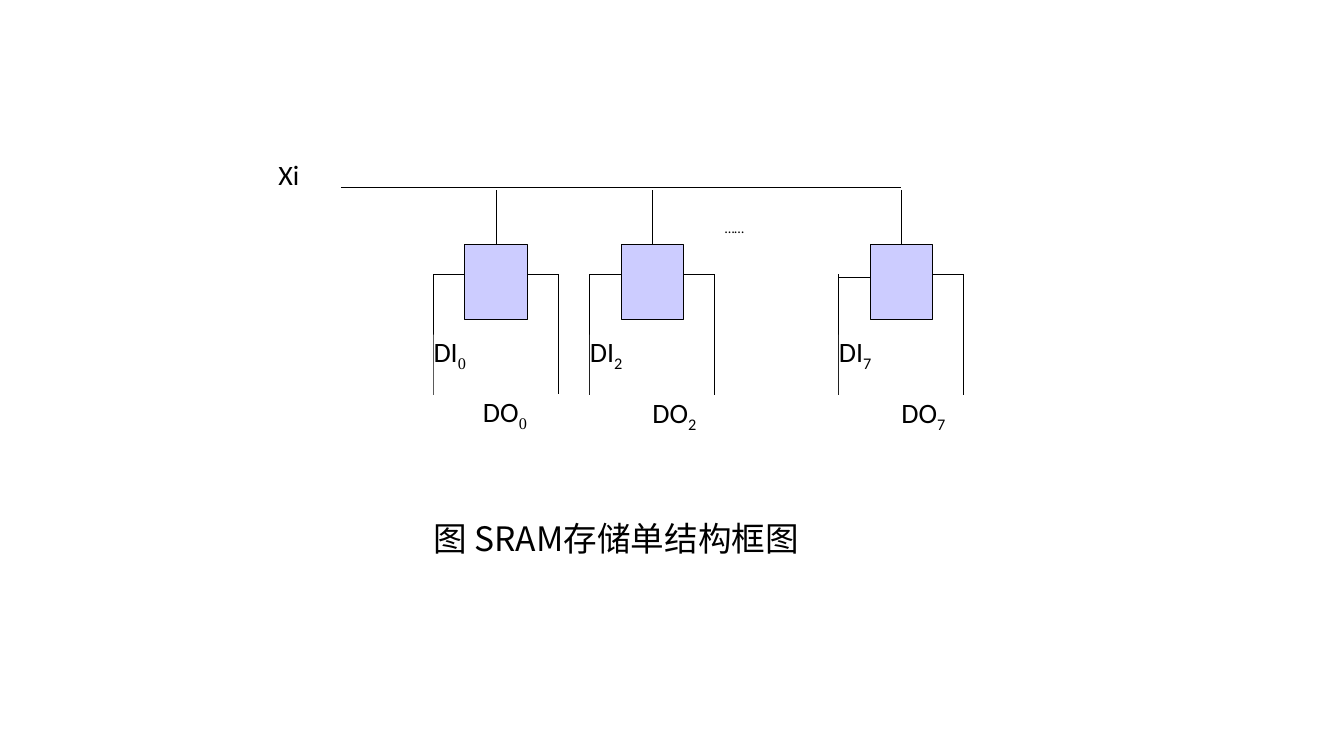
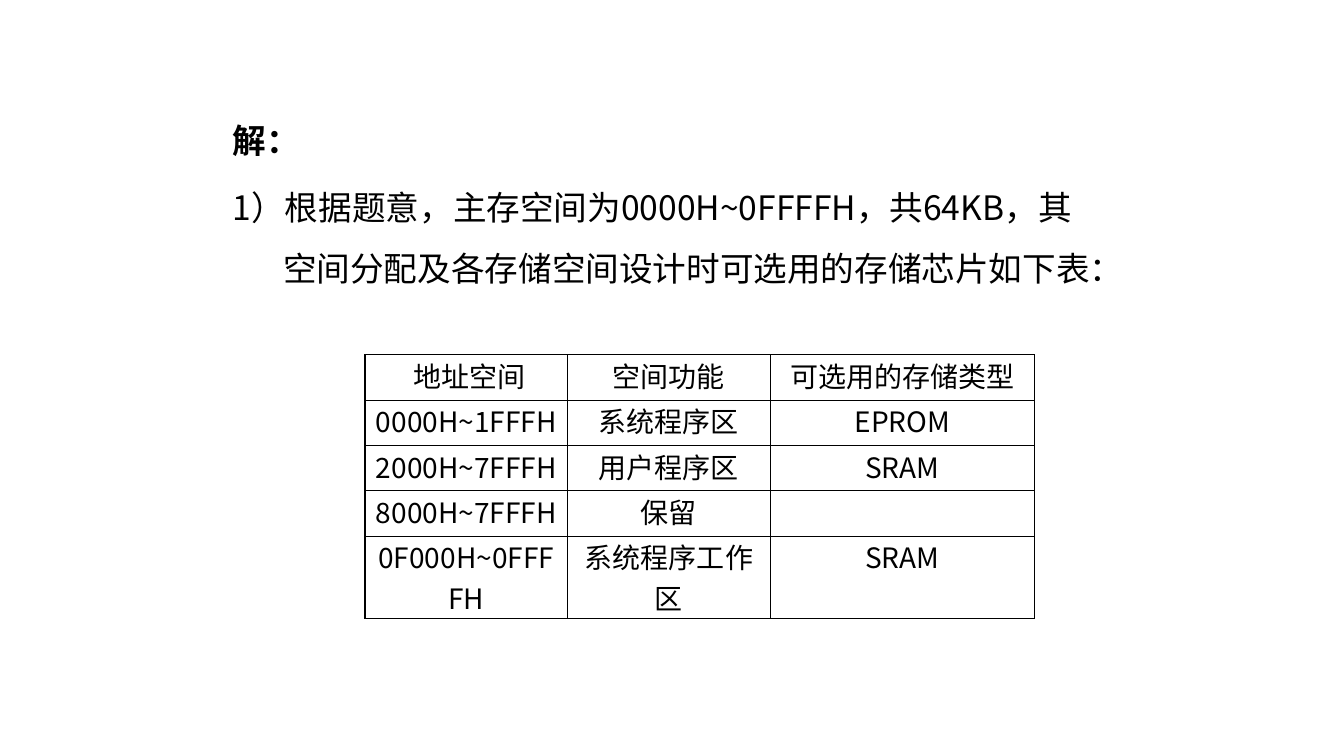
from dataclasses import dataclass
from itertools import product

from lxml.etree import SubElement
from pptx import Presentation
from pptx.dml.color import RGBColor as Rgb
from pptx.enum.shapes import MSO_CONNECTOR as Connector, MSO_SHAPE as Preset
from pptx.enum.text import MSO_ANCHOR as Anchor, PP_ALIGN as Align
from pptx.oxml.ns import qn
from pptx.util import Inches, Pt


@dataclass(frozen=True)
class Theme:
    ink: Rgb = Rgb(0x00, 0x00, 0x00)
    paper: Rgb = Rgb(0xFF, 0xFF, 0xFF)
    cell_fill: Rgb = Rgb(0xCC, 0xCC, 0xFF)
    latin: str = "Calibri"
    cjk: str = "Noto Sans CJK SC"
    serif: str = "Times New Roman"
    body: int = 24
    label: int = 20
    small: int = 10
    line: float = 0.75
    border: float = 1


@dataclass(frozen=True)
class MemoryCell:
    index: str
    left: float
    output_left: float
    input_y: float = 2.72
    output_top: float = 3.92
    index_font: str = Theme.latin


THEME = Theme()

# Memory cell geometry, in inches
CELL_TOP, CELL_WIDTH, CELL_HEIGHT = 2.43, 0.62, 0.74
STUB, PIN_Y, PIN_END = 0.31, 2.72, 3.92
WORD_LINE_Y = 1.86
CELLS = (
    MemoryCell("0", 4.61, 4.79, output_top=3.91, index_font=THEME.serif),
    MemoryCell("2", 6.16, 6.47),
    MemoryCell("7", 8.63, 8.94, input_y=2.75),
)

SOLUTION = (
    "解：",
    "1）根据题意，主存空间为0000H~0FFFFH，共64KB，"
    "其空间分配及各存储空间设计时可选用的存储芯片如下表：",
)
ADDRESS_MAP = (
    (" 地址空间", "空间功能", "可选用的存储类型"),
    ("0000H~1FFFH", "系统程序区", "EPROM"),
    ("2000H~7FFFH", "用户程序区", "SRAM"),
    ("8000H~7FFFH", "保留", ""),
    ("0F000H~0FFFFH", "系统程序工作区", "SRAM"),
)
COLUMN_WIDTHS = (2.01, 2.01, 2.62)
# The last row holds two lines of text
ROW_HEIGHTS = (0.45, 0.45, 0.45, 0.45, 0.82)


def style(paragraph, size: int, face: str, align=None, bold: bool = False) -> None:
    font = paragraph.font
    font.size, font.name, font.bold = Pt(size), face, bold
    font.color.rgb = THEME.ink
    defaults = paragraph._p.pPr.find(qn("a:defRPr"))
    SubElement(defaults, qn("a:ea")).set("typeface", face)
    paragraph.alignment = align


def add_line(slide, x1: float, y1: float, x2: float, y2: float) -> None:
    line = slide.shapes.add_connector(
        Connector.STRAIGHT, Inches(x1), Inches(y1), Inches(x2), Inches(y2))
    line.line.color.rgb = THEME.ink
    line.line.width = Pt(THEME.line)
    SubElement(line._element.spPr, qn("a:effectLst"))


def add_box(slide, left: float, top: float, width: float, height: float, fill: Rgb):
    box = slide.shapes.add_shape(
        Preset.RECTANGLE, Inches(left), Inches(top), Inches(width), Inches(height))
    box.shadow.inherit = False
    box.fill.solid()
    box.fill.fore_color.rgb = fill
    return box


def add_label(slide, text: str, left: float, top: float, width: float,
              size: int = THEME.label, face: str = THEME.latin,
              index: str = "", index_font: str = THEME.latin) -> None:
    box = add_box(slide, left, top, width, 0.6, THEME.paper)
    box.line.fill.background()
    frame = box.text_frame
    frame.word_wrap, frame.vertical_anchor = True, Anchor.TOP
    frame.margin_left = frame.margin_top = 0
    frame.margin_right = frame.margin_bottom = 0
    paragraph = frame.paragraphs[0]
    paragraph.add_run().text = text
    style(paragraph, size, face, Align.JUSTIFY)
    if index:
        subscript = paragraph.add_run()
        subscript.text = index
        subscript.font.name = index_font
        subscript._r.get_or_add_rPr().set("baseline", "-25000")


def add_memory_cell(slide, cell: MemoryCell) -> None:
    right = cell.left + CELL_WIDTH
    input_x, output_x = cell.left - STUB, right + STUB
    middle = cell.left + CELL_WIDTH / 2
    add_line(slide, middle, 1.89, middle, 2.42)
    add_line(slide, input_x, cell.input_y, cell.left, cell.input_y)
    add_line(slide, right, PIN_Y, output_x, PIN_Y)
    for pin_x in (input_x, output_x):
        add_line(slide, pin_x, PIN_Y, pin_x, PIN_END)
    box = add_box(slide, cell.left, CELL_TOP, CELL_WIDTH, CELL_HEIGHT, THEME.cell_fill)
    box.line.color.rgb = THEME.ink
    box.line.width = Pt(THEME.line)
    for text, left, top in (("DI", input_x, 3.32),
                            ("DO", cell.output_left, cell.output_top)):
        add_label(slide, text, left, top, 0.93,
                  index=cell.index, index_font=cell.index_font)


def add_text(slide, left: float, top: float, width: float, height: float):
    frame = slide.shapes.add_textbox(
        Inches(left), Inches(top), Inches(width), Inches(height)).text_frame
    frame.word_wrap = True
    return frame


def build_structure(slide) -> None:
    # Word line and its memory cells
    add_label(slide, "Xi", 2.76, 1.56, 0.62)
    add_line(slide, 3.38, WORD_LINE_Y, 8.94, WORD_LINE_Y)
    for cell in CELLS:
        add_memory_cell(slide, cell)
    # Omitted cells and caption
    omitted = add_text(slide, 7.09, 2.13, 1.55, 0.74).paragraphs[0]
    omitted.text = "……"
    style(omitted, THEME.small, THEME.latin, Align.JUSTIFY)
    add_label(slide, "图 SRAM存储单结构框图", 4.3, 5.14, 4.64, THEME.body, THEME.cjk)


def set_borders(cell) -> None:
    properties = cell._tc.get_or_add_tcPr()
    for side in ("lnL", "lnR", "lnT", "lnB"):
        border = SubElement(properties, qn(f"a:{side}"), w=str(Pt(THEME.border)))
        fill = SubElement(border, qn("a:solidFill"))
        SubElement(fill, qn("a:srgbClr"), val=str(THEME.ink))


def build_solution(slide) -> None:
    # Hanging paragraphs
    frame = add_text(slide, 2.21, 0.94, 8.75, 4.5)
    for number, text in enumerate(SOLUTION):
        paragraph = frame.add_paragraph() if number else frame.paragraphs[0]
        paragraph.text = text
        paragraph.line_spacing, paragraph.space_before = 1.5, Pt(5)
        style(paragraph, THEME.body, THEME.cjk, bold=number == 0)
        indent = paragraph._p.get_or_add_pPr()
        indent.set("marL", str(Inches(0.5)))
        indent.set("indent", str(Inches(-0.5)))

    # Address map
    table = slide.shapes.add_table(
        len(ROW_HEIGHTS), len(COLUMN_WIDTHS), Inches(3.62), Inches(3.52),
        Inches(sum(COLUMN_WIDTHS)), Inches(sum(ROW_HEIGHTS))).table
    table.first_row = table.horz_banding = False
    for column, width in zip(table.columns, COLUMN_WIDTHS):
        column.width = Inches(width)
    for row, height in zip(table.rows, ROW_HEIGHTS):
        row.height = Inches(height)
    for r, c in product(range(len(ROW_HEIGHTS)), range(len(COLUMN_WIDTHS))):
        cell = table.cell(r, c)
        set_borders(cell)
        cell.fill.background()
        cell.margin_left = cell.margin_right = Inches(0.08)
        cell.margin_top = cell.margin_bottom = 0
        entry = cell.text_frame.paragraphs[0]
        entry.text = ADDRESS_MAP[r][c]
        style(entry, THEME.label, THEME.cjk, Align.CENTER)


def main() -> None:
    deck = Presentation()
    deck.slide_width, deck.slide_height = Inches(13.33), Inches(7.5)
    blank = deck.slide_layouts[6]
    for build in (build_structure, build_solution):
        build(deck.slides.add_slide(blank))
    deck.save("out.pptx")


if __name__ == "__main__":
    main()
